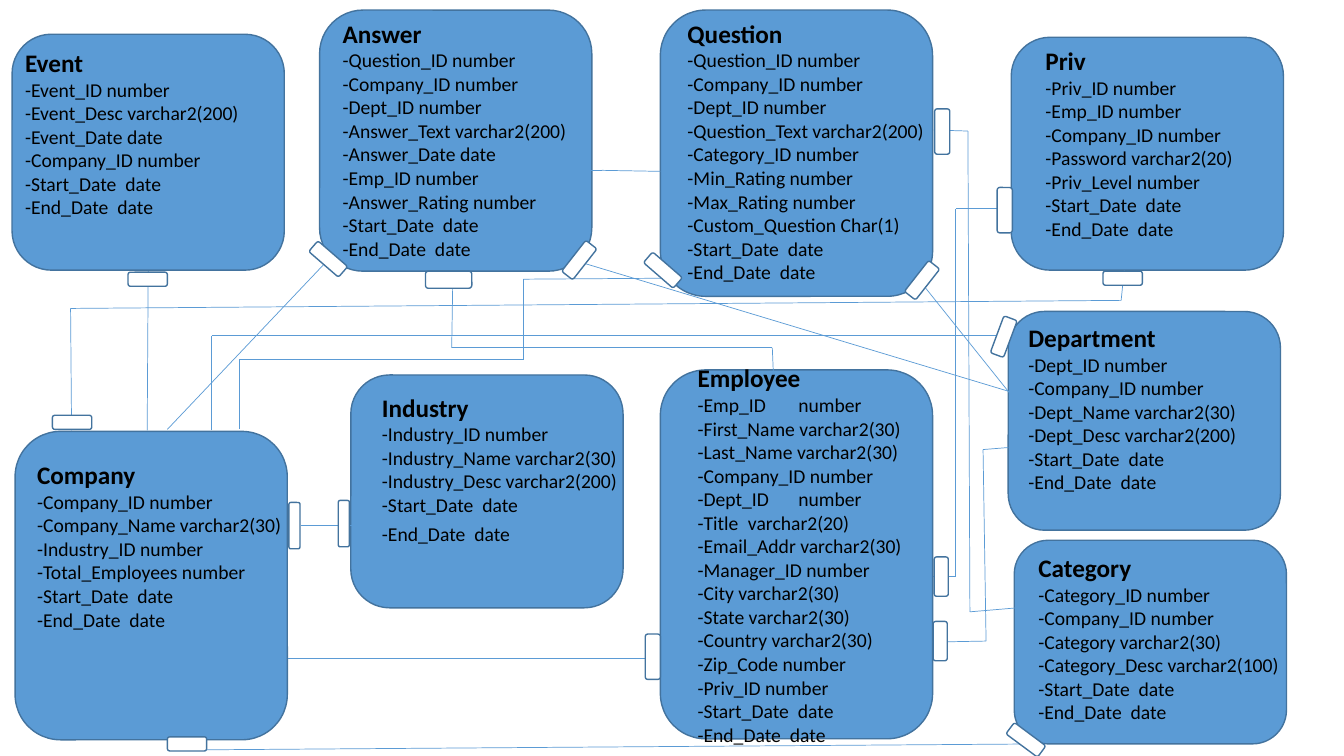
from pptx import Presentation, util as u
from pptx.dml.color import RGBColor
from pptx.enum import shapes, text
from pptx.oxml.ns import qn
from lxml import etree

DATES = ["-Start_Date  date", "-End_Date  date"]

CARDS = [
    ("Employee", (65.5, 36.7, 27, 36.6), (68.2, 35.5, 28.2, 45.4),
     ["-Emp_ID\tnumber", "-First_Name varchar2(30)", "-Last_Name varchar2(30)",
      "-Company_ID number", "-Dept_ID\tnumber", "-Title\tvarchar2(20)",
      "-Email_Addr varchar2(30)", "-Manager_ID number", "-City varchar2(30)",
      "-State varchar2(30)", "-Country varchar2(30)", "-Zip_Code number",
      "-Priv_ID number"]),
    ("Question", (65.5, 1, 27, 28.4), (67.2, 1.3, 28.2, 39.7),
     ["-Question_ID number", "-Company_ID number", "-Dept_ID number",
      "-Question_Text varchar2(200)", "-Category_ID number",
      "-Min_Rating number", "-Max_Rating number",
      "-Custom_Question Char(1)"]),
    ("Answer", (31.7, 1, 27, 25.9), (33, 1.3, 28.2, 37.4),
     ["-Question_ID number", "-Company_ID number", "-Dept_ID number",
      "-Answer_Text varchar2(200)", "-Answer_Date date", "-Emp_ID number",
      "-Answer_Rating number"]),
    ("Priv", (100.3, 3.7, 27, 23.1), (102.7, 4, 28.2, 35.7),
     ["-Priv_ID number", "-Emp_ID number", "-Company_ID number",
      "-Password varchar2(20)", "-Priv_Level number"]),
    ("Department", (100, 30.9, 27, 21.7), (101, 31.5, 28.2, 27.3),
     ["-Dept_ID number", "-Company_ID number", "-Dept_Name varchar2(30)",
      "-Dept_Desc varchar2(200)"]),
    ("Event", (1.2, 3.4, 27, 23.4), (1.5, 4.2, 28.2, 30.3),
     ["-Event_ID number", "-Event_Desc varchar2(200)", "-Event_Date date",
      "-Company_ID number"]),
    ("Company", (1.5, 42.8, 27, 30.6), (2.7, 45.1, 30.6, 27.3),
     ["-Company_ID number", "-Company_Name varchar2(30)",
      "-Industry_ID number", "-Total_Employees number"]),
    ("Industry", (34.8, 37.2, 27, 23.1), (36.9, 38.4, 28.2, 19.5),
     ["-Industry_ID number", "-Industry_Name varchar2(30)",
      "-Industry_Desc varchar2(200)"]),
    ("Category", (100.6, 53.6, 27, 20.2), (102, 54.3, 28.2, 24.2),
     ["-Category_ID number", "-Company_ID number", "-Category varchar2(30)",
      "-Category_Desc varchar2(100)"]),
]

ROUTES = [
    [(58.6, 16.9), (59.7, 16.9), (65.5, 17)],
    [(92.5, 57.2), (94.8, 57.2), (94.8, 20.7), (100.3, 20.7)],
    [(92.5, 63.7), (97.8, 63.6), (97.5, 44.6), (100, 44.4)],
    [(44.9, 28.4), (44.8, 34.5), (76.6, 34.5), (76.7, 36.9)],
    [(14.7, 26.9), (14.6, 42.7)],
    [(29.9, 52.1), (34.9, 52.1)],
    [(28.8, 66.1), (28.8, 66.1)],
    [(28.6, 65.3), (65.6, 65.3)],
    [(21, 42.7), (21, 33.3), (100.3, 33.3)],
    [(7.1, 42.7), (7, 30.6), (111.2, 29.8), (111.5, 26.8)],
    [(92.6, 12.9), (96, 13), (96.2, 60.7), (100.9, 60.3)],
    [(103.4, 73.8), (18.7, 74.4), (18.7, 73.3)],
    [(66.3, 27.6), (51.9, 27.7), (51.9, 35.7), (23.7, 35.7), (23.7, 42.6)],
    [(100.3, 39.2), (91.5, 28.2)],
    [(16.6, 42.6), (33, 25.3)],
    [(57.2, 25.9), (100.3, 38.9)],
]

ENDS = {
    (3.9, 1.4): [(91.4, 56.5, 90), (109.4, 26.9, 180), (91.3, 62.9, 90),
                 (97.6, 32.7, 110.4), (12.7, 27, 180), (5.2, 41.2, 180),
                 (99.8, 72.7, 36.6), (16.6, 73.1, 180), (89.5, 27.1, 128.1),
                 (55.5, 25.1, 128.1), (30.6, 25, 220.9), (63.8, 26.1, 220.9)],
    (1.5, 4.5): [(92.7, 10.8, 0), (64, 62.9, 0), (98.9, 18.6, 0)],
    (4.6, 1.1): [(31.8, 51.4, 90), (26.9, 51.6, 90)],
    (4.6, 1.7): [(42.2, 26.9, 0)],
}


def tint(code):
    return RGBColor.from_string(code)


class Chart:
    cell = u.Inches(0.1)
    font = "Calibri"
    ink, blue, edge, white = "000000", "5B9BD5", "43739E", "FFFFFF"

    def __init__(self, deck):
        self.slide = deck.slides.add_slide(deck.slide_layouts[6])

    def grid(self, *spans):
        return [round(span * self.cell) for span in spans]

    def box(self, area, fill, turn=0):
        box = self.slide.shapes.add_shape(
            shapes.MSO_SHAPE.ROUNDED_RECTANGLE, *self.grid(*area))
        box.shadow.inherit = False
        box.fill.solid()
        box.fill.fore_color.rgb = tint(fill)
        box.line.color.rgb = tint(self.edge)
        box.line.width = u.Pt(1)
        box.rotation = turn

    def run(self, para, words, size, bold=False):
        run = para.add_run()
        run.text = words
        run.font.name = self.font
        run.font.size = u.Pt(size)
        run.font.bold = bold
        run.font.color.rgb = tint(self.ink)

    def label(self, area, title, rows):
        frame = self.slide.shapes.add_textbox(*self.grid(*area)).text_frame
        frame.word_wrap = True
        frame.auto_size = text.MSO_AUTO_SIZE.SHAPE_TO_FIT_TEXT
        self.run(frame.paragraphs[0], title, 18, True)
        for row in rows:
            self.run(frame.add_paragraph(), row, 14)
        if title == "Industry":
            frame.paragraphs[-1].space_before = u.Pt(4)

    def route(self, stops):
        for start, end in zip(stops, stops[1:]):
            line = self.slide.shapes.add_connector(
                shapes.MSO_CONNECTOR.STRAIGHT, *self.grid(*start, *end))
            line.line.color.rgb = tint(self.blue)
            line.line.width = u.Pt(0.5)
            etree.SubElement(line._element.spPr, qn("a:effectLst"))


def main():
    deck = Presentation()
    deck.slide_width, deck.slide_height = u.Inches(13.33), u.Inches(7.5)
    chart = Chart(deck)
    for title, area, place, rows in CARDS:
        chart.box(area, chart.blue)
        chart.label(place, title, rows + DATES)
    for stops in ROUTES:
        chart.route(stops)
    for size, spots in ENDS.items():
        for left, top, turn in spots:
            chart.box((left, top, *size), chart.white, turn)
    deck.save("out.pptx")


if __name__ == "__main__":
    main()
